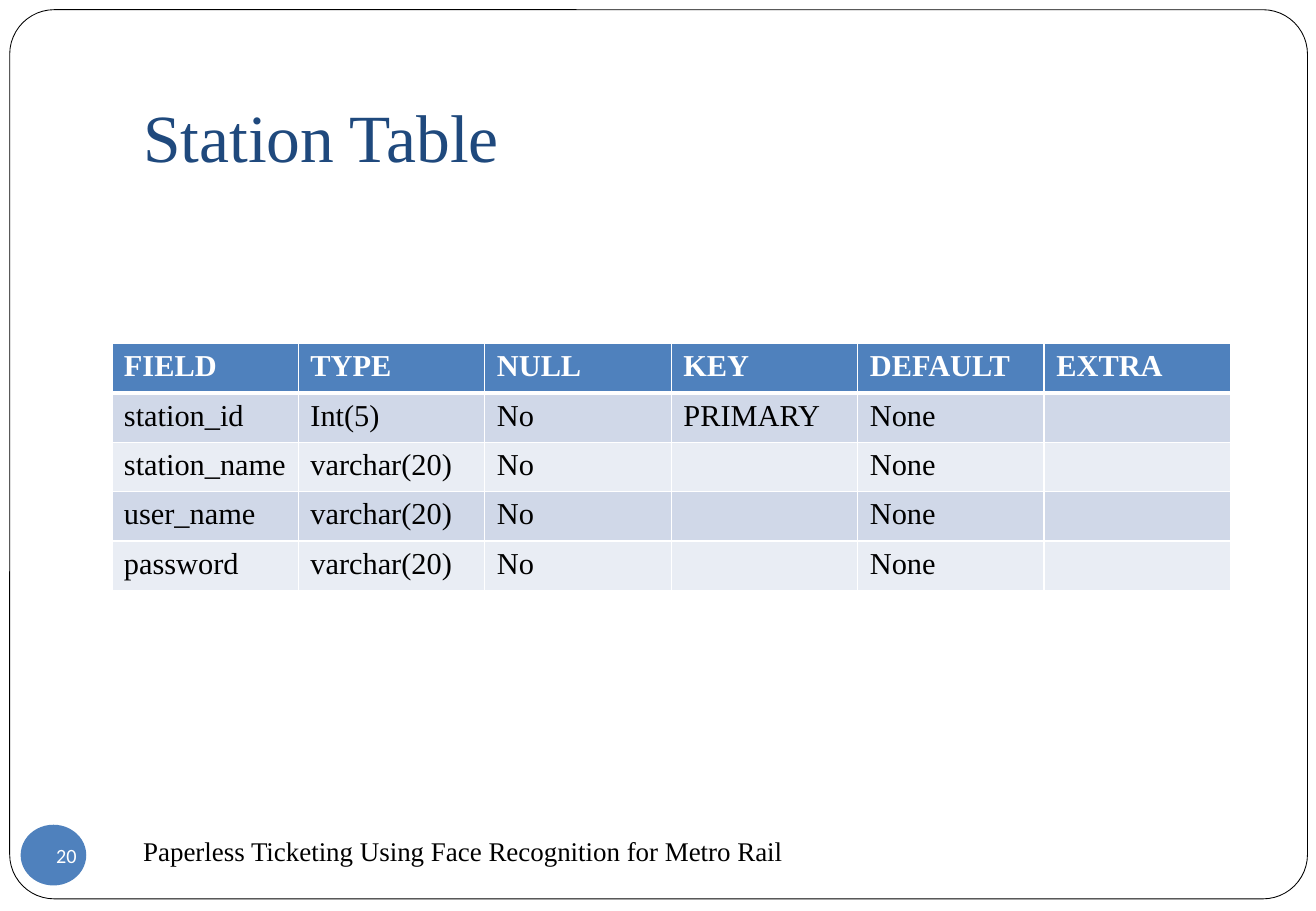
"""Build the Station Table slide with its database schema."""
from lxml.etree import SubElement
from pptx import Presentation
from pptx.dml.color import RGBColor
from pptx.enum.shapes import MSO_SHAPE as Shape
from pptx.enum.text import MSO_ANCHOR as Anchor, PP_ALIGN as Align
from pptx.oxml.ns import qn
from pptx.util import Inches, Pt

TITLE = "Station Table"
FOOTER = "Paperless Ticketing Using Face Recognition for Metro Rail"
PAGE_NUMBER = "20"
SCHEMA = [
    ("FIELD", "TYPE", "NULL", "KEY", "DEFAULT", "EXTRA"),
    ("station_id", "Int(5)", "No", "PRIMARY", "None", ""),
    ("station_name", "varchar(20)", "No", "", "None", ""),
    ("user_name", "varchar(20)", "No", "", "None", ""),
    ("password", "varchar(20)", "No", "", "None", ""),
]
THEME = {
    "serif": "Times New Roman", "sans": "Calibri",
    "white": "FFFFFF", "black": "000000", "navy": "1F497D", "blue": "4F81BD",
    "bands": ("D0D8E8", "E9EDF4"),
    "title": 40, "cell": 18, "footer": 16, "number": 12,
    "frame_line": 0.5, "grid_line": 1, "header_line": 3,
}
TABLE_BOX = (0.92, 2.83, 9.21, 2.03)


def color(name):
    return RGBColor.from_string(THEME.get(name, name))


def place(box):
    return [Inches(length) for length in box]


def write(para, text, size, ink, font="serif", bold=False):
    span = para.add_run()
    span.text = text
    formats = {"name": THEME[font], "size": Pt(THEME[size]), "bold": bold}
    for key, value in formats.items():
        setattr(span.font, key, value)
    span.font.color.rgb = color(ink)


def add_panel(page, kind, box, fill):
    panel = page.shapes.add_shape(kind, *place(box))
    panel.shadow.inherit = False
    panel.fill.solid()
    panel.fill.fore_color.rgb = color(fill)
    panel.line.fill.background()
    return panel


def add_label(page, box, text, size, ink, anchor, bottom=0.05):
    frame = page.shapes.add_textbox(*place(box)).text_frame
    formats = {"word_wrap": True, "vertical_anchor": anchor,
               "margin_bottom": Inches(bottom)}
    for key, value in formats.items():
        setattr(frame, key, value)
    write(frame.paragraphs[0], text, size, ink)


def add_borders(cell, widths):
    properties = cell._tc.get_or_add_tcPr()
    for side, width in widths.items():
        line = SubElement(properties, qn(f"a:ln{side}"), w=str(Pt(THEME[width])))
        fill = SubElement(line, qn("a:solidFill"))
        SubElement(fill, qn("a:srgbClr"), val=THEME["white"])


def add_schema(page):
    rows, columns = len(SCHEMA), len(SCHEMA[0])
    table = page.shapes.add_table(rows, columns, *place(TABLE_BOX)).table
    for column in table.columns:
        column.width = Inches(TABLE_BOX[2] / columns)
    for index, values in enumerate(SCHEMA):
        table.rows[index].height = Inches(TABLE_BOX[3] / rows)
        header = index == 0
        fill = "blue" if header else THEME["bands"][(index - 1) % 2]
        widths = dict.fromkeys("LRTB", "grid_line")
        if index < 2:
            widths["B" if header else "T"] = "header_line"
        for cell, value in zip(table.rows[index].cells, values):
            add_borders(cell, widths)
            cell.fill.solid()
            cell.fill.fore_color.rgb = color(fill)
            if value:
                ink = "white" if header else "black"
                write(cell.text_frame.paragraphs[0], value, "cell", ink, bold=header)


def add_page_number(page):
    badge = add_panel(page, Shape.OVAL, (0.17, 6.79, 0.54, 0.5), "blue")
    formats = {"word_wrap": False, "vertical_anchor": Anchor.MIDDLE}
    formats.update({f"margin_{side}": 0 for side in ("left", "top", "right", "bottom")})
    for key, value in formats.items():
        setattr(badge.text_frame, key, value)
    para = badge.text_frame.paragraphs[0]
    para.alignment = Align.RIGHT
    write(para, PAGE_NUMBER, "number", "white", "sans")


def main():
    deck = Presentation()
    deck.slide_width, deck.slide_height = place((10.83, 7.5))
    page = deck.slides.add_slide(deck.slide_layouts[6])
    border = add_panel(page, Shape.ROUNDED_RECTANGLE, (0.08, 0.08, 10.68, 7.32), "white")
    border.adjustments[0] = 0.05
    border.line.color.rgb = color("black")
    border.line.width = Pt(THEME["frame_line"])
    add_label(page, (1.08, 0.3, 9.21, 1.25), TITLE, "title", "navy", Anchor.BOTTOM, 0.1)
    add_page_number(page)
    add_schema(page)
    add_label(page, (1.08, 6.75, 5.5, 0.5), FOOTER, "footer", "black", Anchor.MIDDLE)
    deck.save("out.pptx")


if __name__ == "__main__":
    main()
